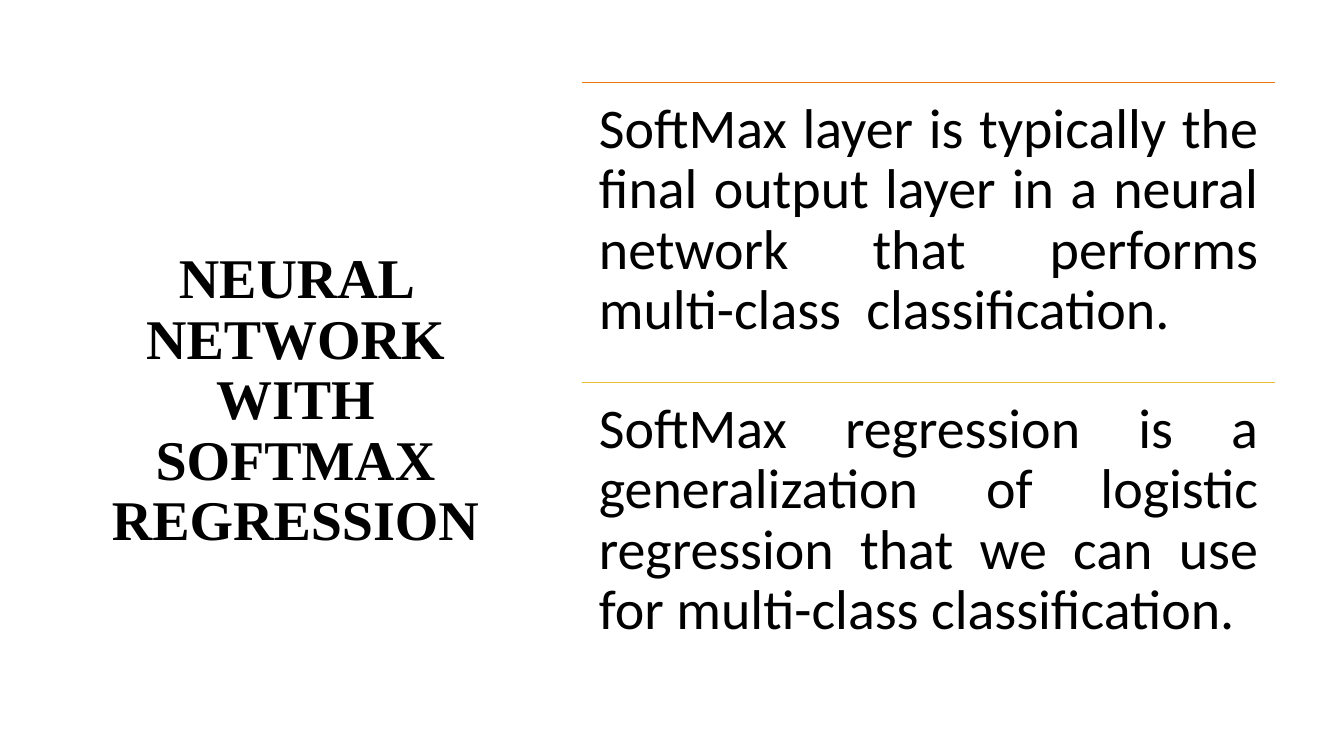
from lxml import etree
from pptx import Presentation, util as u
from pptx.dml.color import RGBColor
from pptx.enum import shapes, text
from pptx.oxml.ns import qn

TITLE = "NEURAL NETWORK WITH SOFTMAX REGRESSION"
POINTS = [
    ("EB7712", "SoftMax layer is typically the final output layer in a neural "
               "network that performs multi-class  classification."),
    ("ECBD31", "SoftMax regression is a generalization of logistic regression "
               "that we can use for multi-class classification."),
]
LEFT, TOP, WIDTH, ROW = 5.77, 0.82, 6.88, 2.975
INSET = 0.17


def colour(value):
    return RGBColor.from_string(value)


def place(box, left, top, width, height):
    box.left, box.top = u.Inches(left), u.Inches(top)
    box.width, box.height = u.Inches(width), u.Inches(height)


def write(box, words, font, align, anchor, bold=False):
    frame = box.text_frame
    frame.word_wrap = True
    frame.auto_size = text.MSO_AUTO_SIZE.NONE
    frame.vertical_anchor = anchor
    para = frame.paragraphs[0]
    para.text = words
    para.alignment = align
    para.line_spacing = 0.9
    para.font.name, para.font.size, para.font.bold = font, u.Pt(40), bold
    para.font.color.rgb = colour("000000")
    return frame


def add_rule(page, top, hue):
    y = u.Inches(top)
    rule = page.shapes.add_connector(shapes.MSO_CONNECTOR.STRAIGHT,
                                     u.Inches(LEFT), y, u.Inches(LEFT + WIDTH), y)
    rule.line.color.rgb = colour(hue)
    rule.line.width = u.Pt(1)
    etree.SubElement(rule._element.spPr, qn("a:effectLst"))


def add_point(page, top, words):
    box = page.shapes.add_textbox(0, 0, 0, 0)
    place(box, LEFT, top, WIDTH, ROW)
    frame = write(box, words, "Calibri", text.PP_ALIGN.JUSTIFY, text.MSO_ANCHOR.TOP)
    frame.margin_left = frame.margin_right = u.Inches(INSET)
    frame.margin_top = frame.margin_bottom = u.Inches(INSET)
    frame.paragraphs[0].space_after = u.Pt(14)


def main():
    deck = Presentation()
    deck.slide_width, deck.slide_height = u.Inches(13.33), u.Inches(7.5)
    page = deck.slides.add_slide(deck.slide_layouts[5])
    title = page.shapes.title
    place(title, 0.75, 1.17, 4.36, 5.63)
    write(title, TITLE, "Times New Roman", text.PP_ALIGN.CENTER,
          text.MSO_ANCHOR.MIDDLE, bold=True)
    for row, (hue, words) in enumerate(POINTS):
        top = TOP + row * ROW
        add_rule(page, top, hue)
        add_point(page, top, words)
    deck.save("out.pptx")


if __name__ == "__main__":
    main()
